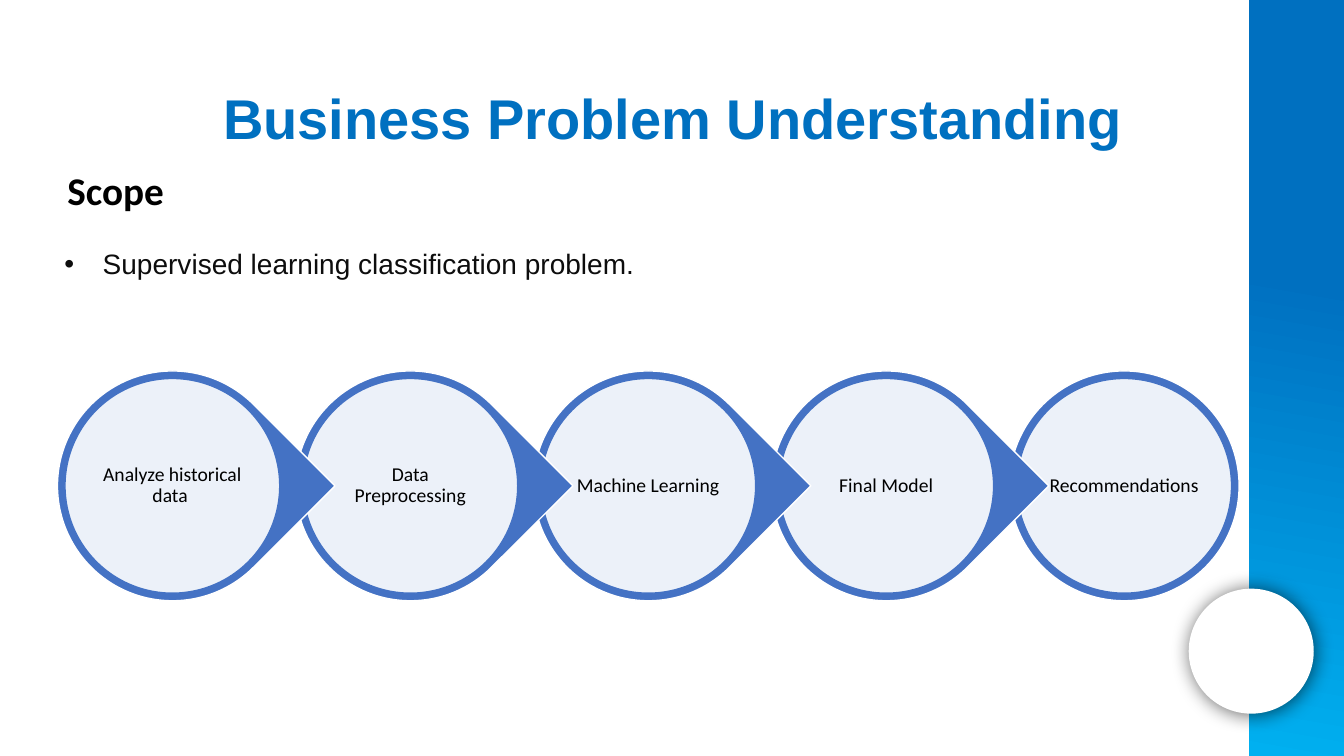
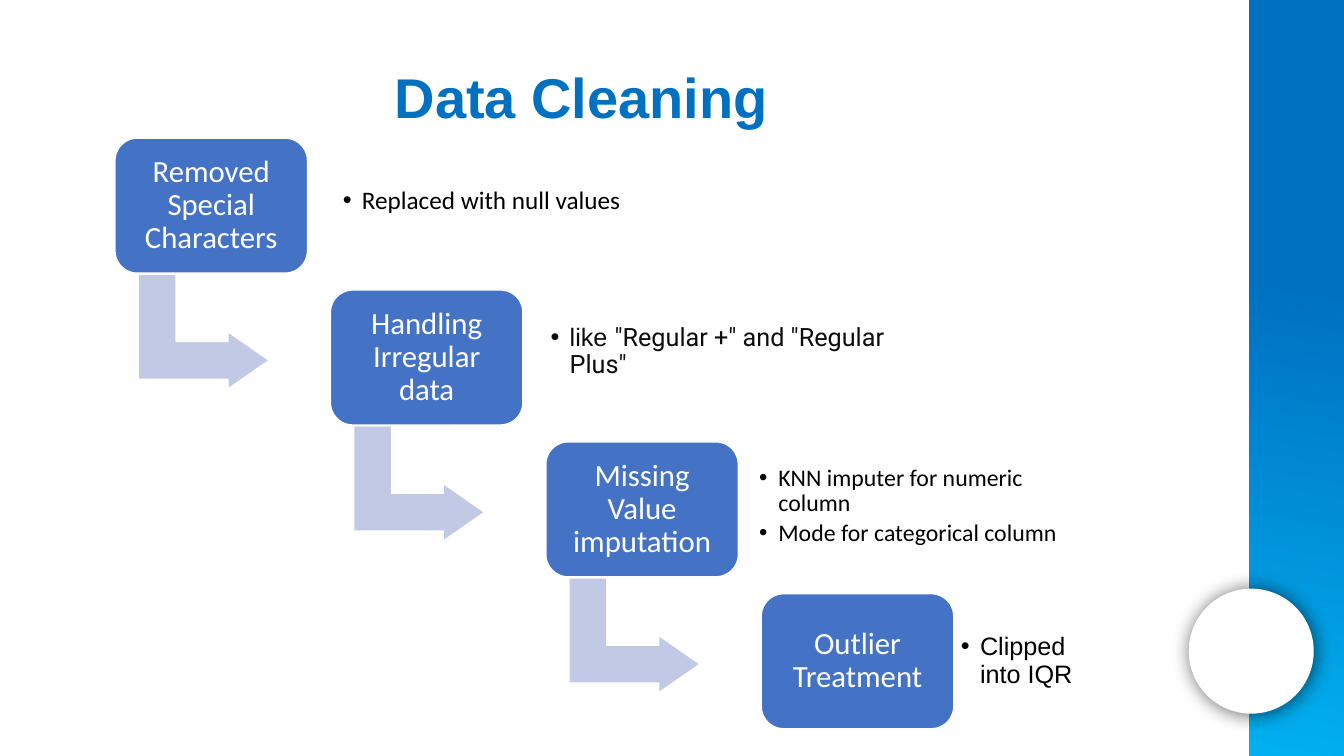
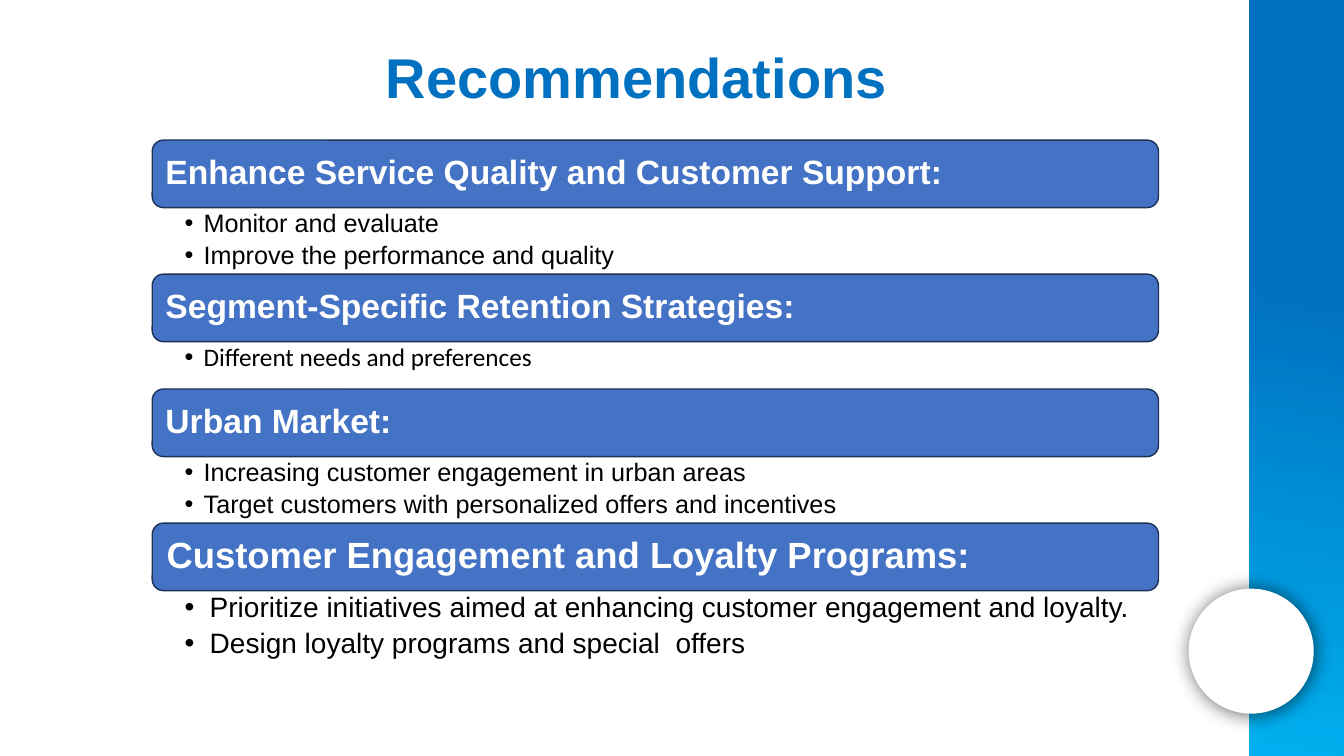
from dataclasses import dataclass, replace
from typing import Any, Optional

from lxml import etree
from pptx import Presentation, util as u
from pptx.dml.color import RGBColor
from pptx.enum import shapes, text
from pptx.oxml import ns

# Colours
BLUE = RGBColor(0x00, 0x70, 0xC0)
SKY = RGBColor(0x00, 0xB0, 0xF0)
STEEL = RGBColor(0x44, 0x72, 0xC4)
NAVY = RGBColor(0x1E, 0x32, 0x56)
LILAC = RGBColor(0xC1, 0xC9, 0xE4)
MIST = RGBColor(0xEC, 0xF1, 0xF9)
WHITE = RGBColor(0xFF, 0xFF, 0xFF)
BLACK = RGBColor(0x00, 0x00, 0x00)
INK = RGBColor(0x0D, 0x0D, 0x0D)

SLIDE_W, SLIDE_H = 13.33, 7.5
CENTER = text.PP_ALIGN.CENTER
LEFT = text.PP_ALIGN.LEFT
MIDDLE = text.MSO_ANCHOR.MIDDLE
TOP = text.MSO_ANCHOR.TOP
KIND = shapes.MSO_SHAPE


@dataclass(frozen=True)
class Box:
    left: float
    top: float
    width: float
    height: float

    def inches(self) -> list[u.Length]:
        return [u.Inches(v) for v in (self.left, self.top, self.width, self.height)]


@dataclass(frozen=True)
class Style:
    size: float
    font: str = "Calibri"
    color: RGBColor = BLACK
    bold: bool = False
    align: Any = LEFT
    margin: float = 0
    hanging: float = 0
    line: float = 0.9
    after: float = 0  # share of the text size


@dataclass(frozen=True)
class Step:
    label: str
    notes: tuple[str, ...]
    note_box: Box
    style: Style
    inset: float = 0.07
    quoted: str = ""


@dataclass(frozen=True)
class Advice:
    heading: str
    points: tuple[str, ...]
    height: float
    heading_style: Style
    point_style: Style
    inset: float = 0.1


# Text styles
TITLE = Style(40, "Arial", BLUE, True, CENTER, line=1)
SCOPE = Style(28, bold=True, margin=0.03, line=1)
SCOPE_POINT = Style(20, "Arial", INK, margin=0.38, hanging=0.38, line=2)
STAGE = Style(14, align=CENTER, after=0.35)
STEP = Style(22, color=WHITE, align=CENTER, after=0.35)
NOTE = Style(18, margin=0.19, hanging=0.19, after=0.15)
HEADING = Style(24, "Arial", WHITE, True, after=0.35)
POINT = Style(18, "Arial", margin=0.19, hanging=0.19, after=0.2)


def write(frame: Any, lines: list[tuple[str, Style]], insets: tuple[float, ...] = (0.1, 0.05, 0.1, 0.05),
          anchor: Any = TOP) -> None:
    """Fill a text frame; insets are left, top, right, bottom."""
    frame.word_wrap = True
    frame.vertical_anchor = anchor
    frame.margin_left, frame.margin_top, frame.margin_right, frame.margin_bottom = map(u.Inches, insets)
    for i, (words, style) in enumerate(lines):
        para = frame.add_paragraph() if i else frame.paragraphs[0]
        para.add_run().text = words
        para.alignment = style.align
        para.line_spacing = style.line
        para.space_after = u.Pt(style.size * style.after)
        props = para._p.get_or_add_pPr()
        props.set("marL", str(u.Inches(style.margin)))
        props.set("indent", str(-u.Inches(style.hanging)))
        if style.hanging:
            etree.SubElement(props, ns.qn("a:buFont"), typeface="Arial")
            etree.SubElement(props, ns.qn("a:buChar"), char="•")
        font = para.font
        font.size, font.name, font.bold = u.Pt(style.size), style.font, style.bold
        font.color.rgb = style.color


def add_text(slide: Any, box: Box, lines: list[tuple[str, Style]], **layout: Any) -> Any:
    frame = slide.shapes.add_textbox(*box.inches()).text_frame
    write(frame, lines, **layout)
    return frame


def add_shape(slide: Any, kind: Any, box: Box, fill: Optional[RGBColor], line: Optional[RGBColor] = None) -> Any:
    shape = slide.shapes.add_shape(kind, *box.inches())
    shape.shadow.inherit = False
    if fill is not None:
        shape.fill.solid()
        shape.fill.fore_color.rgb = fill
    if line is None:
        shape.line.fill.background()
    else:
        shape.line.color.rgb = line
        shape.line.width = u.Pt(1)
    return shape


def add_page(deck: Any, title: str, title_box: Box, align: Any = CENTER) -> Any:
    """Blank slide with the side band, the badge and the title."""
    slide = deck.slides.add_slide(deck.slide_layouts[6])
    band = add_shape(slide, KIND.RECTANGLE, Box(12.39, 0, SLIDE_W - 12.39, SLIDE_H), None)
    band.fill.gradient()
    band.fill.gradient_angle = 260
    for stop, color, position in zip(band.fill.gradient_stops, (BLUE, SKY), (0.37, 1)):
        stop.color.rgb = color
        stop.position = position

    badge = add_shape(slide, KIND.OVAL, Box(11.79, 5.84, 1.24, 1.24), WHITE)
    effects = badge._element.spPr.find(ns.qn("a:effectLst"))
    shadow = etree.SubElement(effects, ns.qn("a:outerShdw"), blurRad=str(u.Pt(14)), dist=str(u.Pt(1)),
                              dir=str(43 * 60000), algn="ctr", rotWithShape="0")
    shade = etree.SubElement(shadow, ns.qn("a:srgbClr"), val=str(BLACK))
    etree.SubElement(shade, ns.qn("a:alpha"), val="60000")

    add_text(slide, title_box, [(title, replace(TITLE, align=align))])
    return slide


def problem_page(deck: Any) -> None:
    slide = add_page(deck, "Business Problem Understanding", Box(1.46, 0.78, 10.42, 0.77))
    add_text(slide, Box(0.54, 1.6, 11.22, 1.55),
             [("Scope", SCOPE), ("Supervised learning classification problem.", SCOPE_POINT)])

    # Chain of stages, drawn from the last so that each tip lies over the next disc
    stages = ["Analyze historical data ", "Data Preprocessing", "Machine Learning", "Final Model",
              "Recommendations"]
    left, top, pitch, outer, inner = 0.57, 3.68, 2.36, 2.28, 2.13
    rim = (outer - inner) / 2
    for i, stage in reversed(list(enumerate(stages))):
        x = left + i * pitch
        is_last = i == len(stages) - 1
        drop = add_shape(slide, KIND.OVAL if is_last else KIND.TEAR, Box(x, top, outer, outer), STEEL, WHITE)
        if not is_last:
            drop.rotation = 45
        disc = add_shape(slide, KIND.OVAL, Box(x + rim, top + rim, inner, inner), MIST, STEEL)
        # No side insets: the longest label needs the full width of the disc's text area
        write(disc.text_frame, [(stage, STAGE)], (0, 0.02, 0, 0.02), MIDDLE)


def cleaning_page(deck: Any) -> None:
    slide = add_page(deck, "Data Cleaning", Box(1.14, 0.57, 9.25, 0.77))
    steps = [
        Step("Removed Special Characters", ("Replaced with null values",), Box(3.33, 1.46, 3.67, 1.08), NOTE),
        Step("Handling Irregular data", ("like ",), Box(5.39, 2.95, 3.99, 1.08),
             replace(NOTE, font="Arial", color=INK), quoted='"Regular +" and "Regular Plus"'),
        Step("Missing Value imputation", ("KNN imputer for numeric column", "Mode for categorical column"),
             Box(7.44, 4.48, 3.14, 1.08), replace(NOTE, size=17), inset=0.09),
        Step("Outlier Treatment", ("Clipped into IQR",), Box(9.46, 6.02, 1.39, 1.08),
             replace(NOTE, font="Arial")),
    ]
    # Staircase: equal steps right and down
    last = len(steps) - 1
    for i, step in enumerate(steps):
        x, y = 1.14 + 6.41 * i / last, 1.37 + 4.52 * i / last
        if i < last:
            arrow = add_shape(slide, KIND.BENT_UP_ARROW, Box(x + 0.31, y + 1.27, 1.14, 1.3), LILAC, WHITE)
            arrow.rotation = 90
            for k, share in enumerate((0.33, 0.25, 0.36)):
                arrow.adjustments[k] = share
        card = add_shape(slide, KIND.ROUNDED_RECTANGLE, Box(x, y, 1.91, 1.34), STEEL, WHITE)
        write(card.text_frame, [(step.label, STEP)], (0.09,) * 4, MIDDLE)
        notes = add_text(slide, step.note_box, [(note, step.style) for note in step.notes],
                         insets=(step.inset,) * 4, anchor=MIDDLE)
        if step.quoted:
            quote = notes.paragraphs[0].add_run()
            quote.text = step.quoted
            quote.font.name = "Roboto"


def advice_page(deck: Any) -> None:
    slide = add_page(deck, "Recommendations", Box(3.73, 0.37, 5.88, 0.77), LEFT)
    advice = [
        Advice("Enhance Service Quality and Customer Support:",
               ("Monitor and evaluate", "Improve the performance and quality"), 0.66, HEADING, POINT),
        Advice("Segment-Specific Retention Strategies:", ("Different needs and preferences",), 0.47,
               HEADING, replace(POINT, font="Calibri")),
        Advice("Urban Market:",
               ("Increasing customer engagement in urban areas",
                "Target customers with personalized offers and incentives"), 0.66, HEADING, POINT),
        Advice("Customer Engagement and Loyalty Programs:",
               ("Prioritize initiatives aimed at enhancing customer engagement and loyalty.",
                "Design loyalty programs and special  offers"), 1.09,
               replace(HEADING, size=26), replace(POINT, size=20, margin=0.25, hanging=0.25), 0.11),
    ]
    # Bars stacked with their points below
    left, top, width, bar_height = 1.51, 1.39, 9.98, 0.67
    for item in advice:
        bar = add_shape(slide, KIND.ROUNDED_RECTANGLE, Box(left, top, width, bar_height), STEEL, NAVY)
        write(bar.text_frame, [(item.heading, item.heading_style)], (item.inset,) * 4, MIDDLE)
        top += bar_height
        add_text(slide, Box(left, top, width, item.height),
                 [(point, item.point_style) for point in item.points], insets=(0.32, 0.03, 0.14, 0.03))
        top += item.height


def main() -> None:
    deck = Presentation()
    deck.slide_width, deck.slide_height = u.Inches(SLIDE_W), u.Inches(SLIDE_H)
    problem_page(deck)
    cleaning_page(deck)
    advice_page(deck)
    deck.save("out.pptx")


if __name__ == "__main__":
    main()
